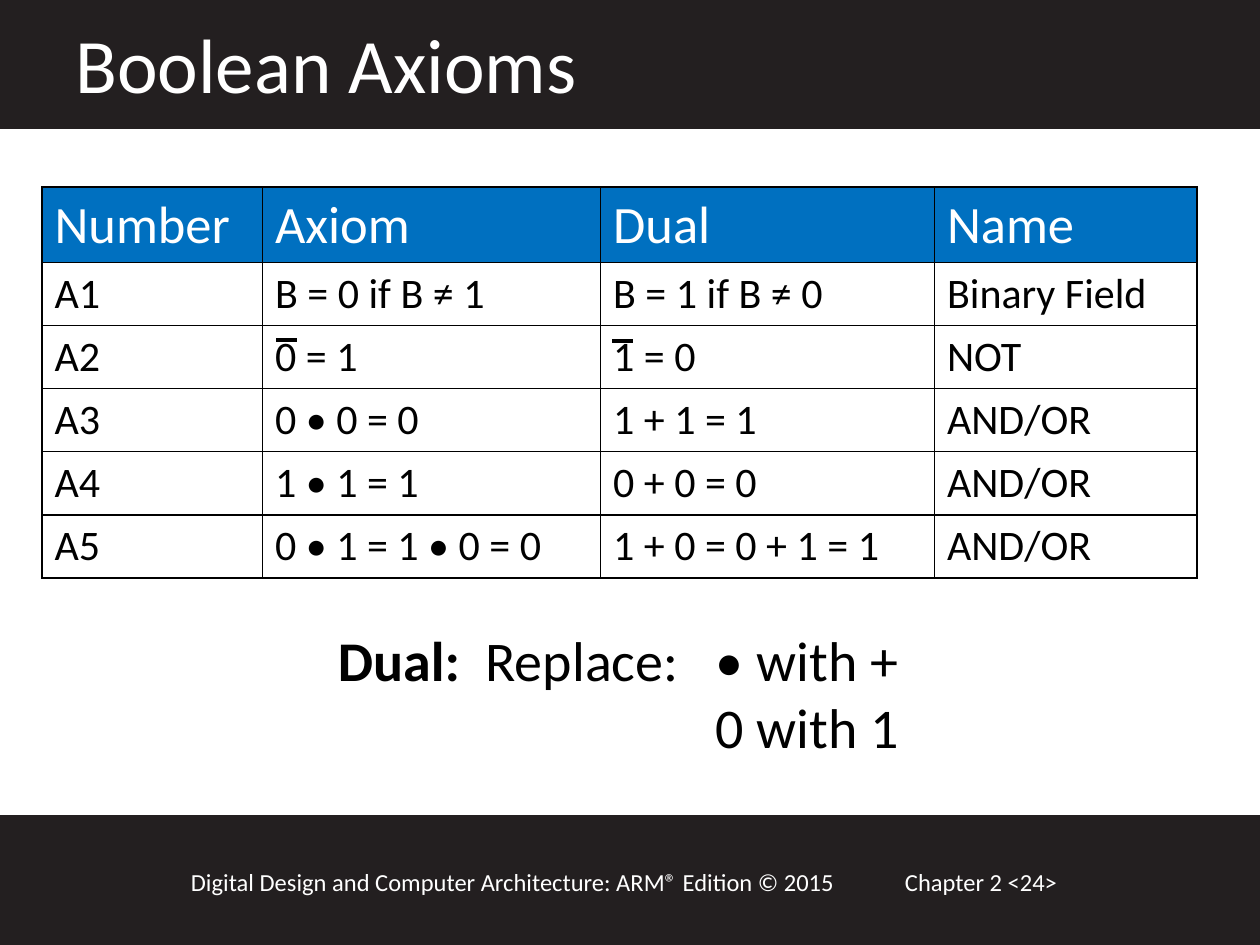
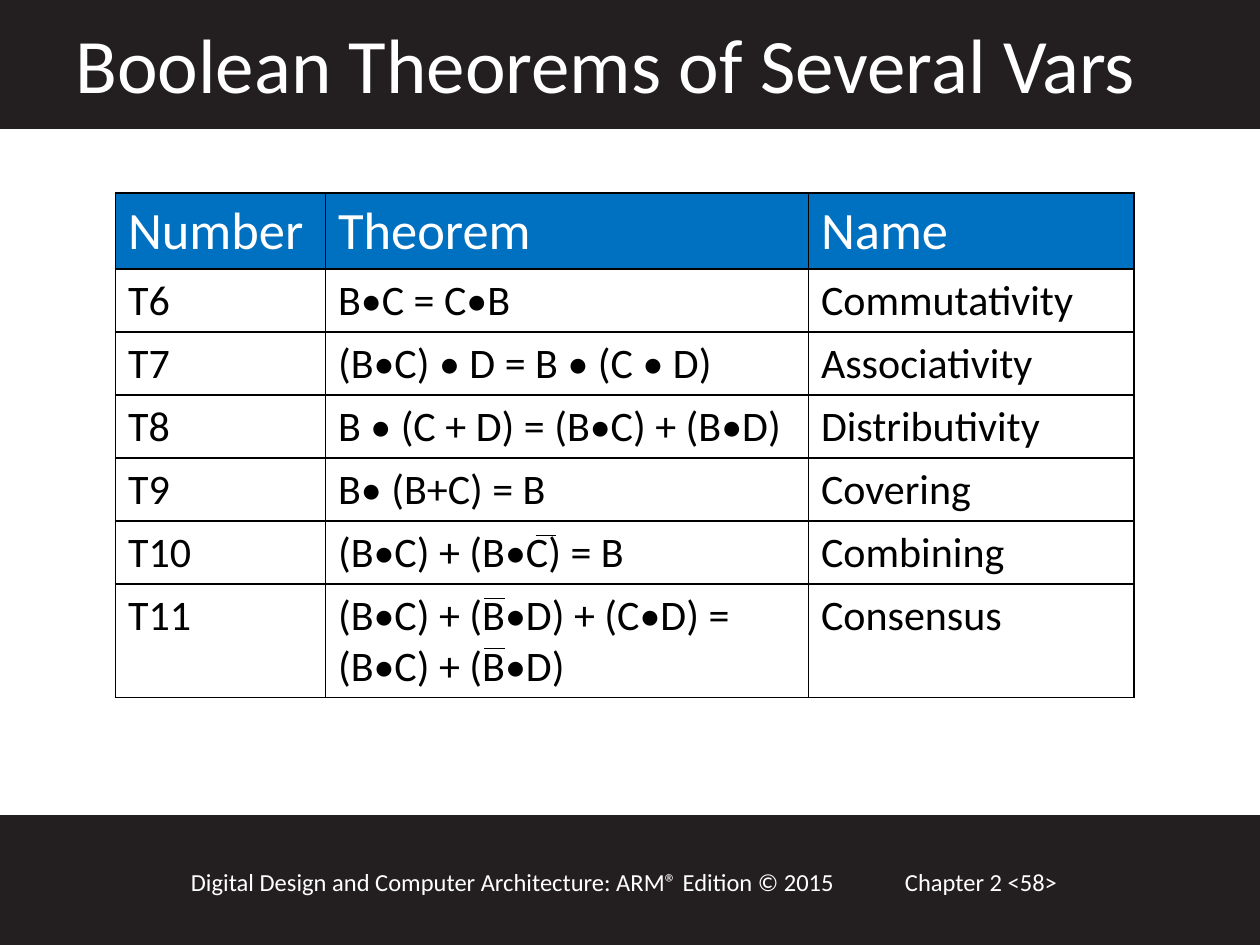
from dataclasses import dataclass
from typing import NamedTuple

from lxml import etree
from pptx import Presentation
from pptx.dml.color import RGBColor
from pptx.enum.shapes import MSO_CONNECTOR, MSO_SHAPE
from pptx.oxml.ns import qn
from pptx.util import Inches, Pt

RECT = MSO_SHAPE.RECTANGLE
STRAIGHT = MSO_CONNECTOR.STRAIGHT

UNIT = 1 / 12  # inches per grid step
COLS, ROWS = 120, 90


@dataclass(frozen=True)
class Theme:
    font: str = "Calibri"
    band: str = "231F20"
    header: str = "0070C0"
    light: str = "FFFFFF"
    dark: str = "000000"
    title_pt: int = 44
    rule_pt: int = 32
    header_pt: int = 30
    body_pt: int = 24
    footer_pt: int = 14
    band_line_pt: float = 2
    border_pt: float = 1


class Box(NamedTuple):
    """A rectangle in grid steps."""
    x: float
    y: float
    w: float
    h: float

    def lengths(self) -> list[int]:
        return [grid(v) for v in self]


class Overbar(NamedTuple):
    """A negation bar above one letter."""
    x: float
    y: float
    weight: float


@dataclass(frozen=True)
class LawSlide:
    title: str
    page: int
    x: float
    y: float
    widths: tuple[float, ...]
    rows: tuple[tuple[str, ...], ...]
    bars: tuple[Overbar, ...]


THEME = Theme()
BANDS = (Box(0, 77.8, COLS, 12.2), Box(0, 0, COLS, 12.1))
TITLE_BOX = Box(6, 1, 104, 10)
CHAPTER_BOX = Box(85, 82, 26, 4)
BOOK_BOX = Box(17, 82, 69, 4)
DUAL_BOX = Box(31, 59, 57.6, 14.2)
DUAL_INDENT = 36
HEADER_ROW, BODY_ROW, EXTRA_LINE = 7.2, 6, 4.8
BAR_WIDTH = 2
BOOK = "Digital Design and Computer Architecture: ARM® Edition © 2015"

AXIOMS = LawSlide(
    "Boolean Axioms", 24, 4, 17.8, (21, 32.2, 31.8, 25),
    (
        ("Number", "Axiom", "Dual", "Name"),
        ("A1", "B = 0 if B ≠ 1", "B = 1 if B ≠ 0", "Binary Field"),
        ("A2", "0 = 1", "1 = 0", "NOT"),
        ("A3", "0 • 0 = 0", "1 + 1 = 1", "AND/OR"),
        ("A4", "1 • 1 = 1", "0 + 0 = 0", "AND/OR"),
        ("A5", "0 • 1 = 1 • 0 = 0", "1 + 0 = 0 + 1 = 1", "AND/OR"),
    ),
    (Overbar(26.3, 32.4, 2), Overbar(58.3, 32.5, 2)),
)
THEOREMS = LawSlide(
    "Boolean Theorems of Several Vars", 58, 11, 18.4, (20, 46, 31),
    (
        ("Number", "Theorem", "Name"),
        ("T6", "B•C = C•B", "Commutativity"),
        ("T7", "(B•C) • D = B • (C • D)", "Associativity"),
        ("T8", "B • (C + D) = (B•C) + (B•D)", "Distributivity"),
        ("T9", "B• (B+C) = B", "Covering"),
        ("T10", "(B•C) + (B•C) = B", "Combining"),
        ("T11", "(B•C) + (B•D) + (C•D) =\n(B•C) + (B•D)", "Consensus"),
    ),
    (Overbar(51, 51, 0.75), Overbar(46.1, 57, 0.75), Overbar(46.1, 61.8, 0.75)),
)


def grid(steps: float) -> int:
    return Inches(steps * UNIT)


def rgb(color: str) -> RGBColor:
    return RGBColor.from_string(color)


def add_run(p, text: str, *, size: float, color: str, bold: bool = False) -> None:
    r = p.add_run()
    r.text = text
    r.font.name = THEME.font
    r.font.size = Pt(size)
    r.font.bold = bold
    r.font.color.rgb = rgb(color)


def write(tf, text: str, **style) -> None:
    """Fill a text frame, one paragraph for each line."""
    for i, line in enumerate(text.split("\n")):
        p = tf.add_paragraph() if i else tf.paragraphs[0]
        add_run(p, line, **style)


def add_text_frame(s, box: Box):
    tf = s.shapes.add_textbox(*box.lengths()).text_frame
    tf.word_wrap = True
    return tf


def add_band(s, box: Box) -> None:
    sp = s.shapes.add_shape(RECT, *box.lengths())
    sp.shadow.inherit = False
    sp.fill.solid()
    sp.fill.fore_color.rgb = rgb(THEME.band)
    sp.line.color.rgb = rgb(THEME.band)
    sp.line.width = Pt(THEME.band_line_pt)


def add_overbar(s, bar: Overbar) -> None:
    y = grid(bar.y)
    line = s.shapes.add_connector(
        STRAIGHT, grid(bar.x), y, grid(bar.x + BAR_WIDTH), y)
    line.line.color.rgb = rgb(THEME.dark)
    line.line.width = Pt(bar.weight)
    etree.SubElement(line._element.spPr, qn("a:effectLst"))


def add_borders(cell) -> None:
    tc_pr = cell._tc.get_or_add_tcPr()
    for i, side in enumerate(("L", "R", "T", "B")):
        ln = etree.Element(qn(f"a:ln{side}"), w=str(Pt(THEME.border_pt)))
        fill = etree.SubElement(ln, qn("a:solidFill"))
        etree.SubElement(fill, qn("a:srgbClr"), val=THEME.dark)
        tc_pr.insert(i, ln)


def row_height(index: int, row: tuple[str, ...]) -> float:
    if index == 0:
        return HEADER_ROW
    return BODY_ROW + EXTRA_LINE * max(text.count("\n") for text in row)


def add_law_table(s, law: LawSlide) -> None:
    heights = [row_height(i, row) for i, row in enumerate(law.rows)]
    box = Box(law.x, law.y, sum(law.widths), sum(heights))
    table = s.shapes.add_table(
        len(heights), len(law.widths), *box.lengths()).table
    table.first_row = table.horz_banding = False
    for column, width in zip(table.columns, law.widths):
        column.width = grid(width)
    for i, (row, height) in enumerate(zip(law.rows, heights)):
        table.rows[i].height = grid(height)
        fill, color, size = (
            (THEME.light, THEME.dark, THEME.body_pt) if i
            else (THEME.header, THEME.light, THEME.header_pt))
        for j, text in enumerate(row):
            cell = table.cell(i, j)
            cell.fill.solid()
            cell.fill.fore_color.rgb = rgb(fill)
            add_borders(cell)
            write(cell.text_frame, text, size=size, color=color)


def add_dual_rule(s) -> None:
    """State the replacements, both aligned on a hanging indent."""
    tf = add_text_frame(s, DUAL_BOX)
    style = dict(size=THEME.rule_pt, color=THEME.dark)
    first, second = tf.paragraphs[0], tf.add_paragraph()
    indent = grid(DUAL_INDENT)
    for p, hang in ((first, -indent), (second, 0)):
        p_pr = p._p.get_or_add_pPr()
        p_pr.set("marL", str(indent))
        p_pr.set("indent", str(hang))
    tabs = etree.SubElement(first._p.get_or_add_pPr(), qn("a:tabLst"))
    etree.SubElement(tabs, qn("a:tab"), pos=str(indent), algn="l")
    add_run(first, "Dual:", bold=True, **style)
    add_run(first, "  Replace:\t• with +", **style)
    add_run(second, "0 with 1", **style)


def add_law_slide(prs, law: LawSlide):
    s = prs.slides.add_slide(prs.slide_layouts[6])
    for band in BANDS:
        add_band(s, band)
    for box, text, size in (
        (CHAPTER_BOX, f"Chapter 2 <{law.page}>", THEME.footer_pt),
        (BOOK_BOX, BOOK, THEME.footer_pt),
        (TITLE_BOX, law.title, THEME.title_pt),
    ):
        write(add_text_frame(s, box), text, size=size, color=THEME.light)
    add_law_table(s, law)
    for bar in law.bars:
        add_overbar(s, bar)
    return s


def main() -> None:
    prs = Presentation()
    prs.slide_width, prs.slide_height = grid(COLS), grid(ROWS)
    add_dual_rule(add_law_slide(prs, AXIOMS))
    add_law_slide(prs, THEOREMS)
    prs.save("out.pptx")


if __name__ == "__main__":
    main()
